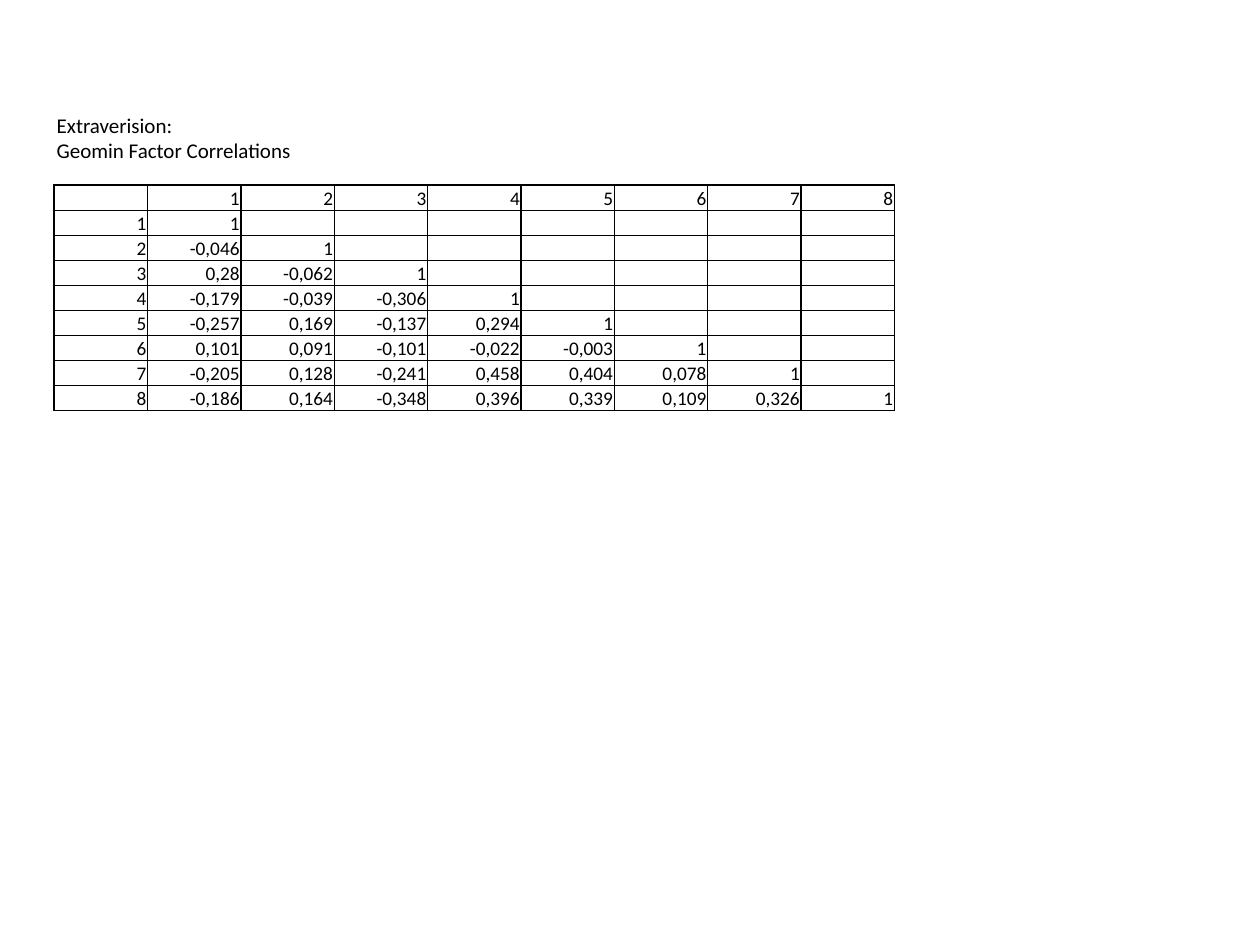
from dataclasses import dataclass

from lxml import etree
from pptx import Presentation
from pptx.dml.color import RGBColor
from pptx.enum.text import MSO_ANCHOR, MSO_AUTO_SIZE, PP_ALIGN
from pptx.oxml.ns import qn
from pptx.util import Inches, Pt

FONT = "Calibri"
BLACK = "000000"


@dataclass(frozen=True)
class FactorRow:
    label: str
    correlations: tuple[str, ...] = ()


FACTORS = (
    FactorRow("1", ("1",)),
    FactorRow("2", ("-0,046", "1")),
    FactorRow("3", ("0,28", "-0,062", "1")),
    FactorRow("4", ("-0,179", "-0,039", "-0,306", "1")),
    FactorRow("5", ("-0,257", "0,169", "-0,137", "0,294", "1")),
    FactorRow("6", ("0,101", "0,091", "-0,101", "-0,022", "-0,003", "1")),
    FactorRow("7", ("-0,205", "0,128", "-0,241", "0,458", "0,404", "0,078", "1")),
    FactorRow("8", ("-0,186", "0,164", "-0,348", "0,396", "0,339", "0,109", "0,326", "1")),
)


def set_font(font, size: float, color: str = BLACK) -> None:
    font.name = FONT
    font.size = Pt(size)
    font.bold = False
    font.color.rgb = RGBColor.from_string(color)


def add_borders(cell, width: float = 1, color: str = BLACK) -> None:
    properties = cell._tc.get_or_add_tcPr()
    for index, side in enumerate(("lnL", "lnR", "lnT", "lnB")):
        line = etree.Element(qn(f"a:{side}"), w=str(Pt(width)))
        fill = etree.SubElement(line, qn("a:solidFill"))
        etree.SubElement(fill, qn("a:srgbClr"), val=color)
        properties.insert(index, line)


def fill_cell(cell, text: str, size: float = 11) -> None:
    cell.margin_left = cell.margin_right = cell.margin_top = Inches(0.01)
    cell.margin_bottom = 0
    cell.vertical_anchor = MSO_ANCHOR.BOTTOM
    cell.fill.background()
    add_borders(cell)
    paragraph = cell.text_frame.paragraphs[0]
    paragraph.alignment = PP_ALIGN.RIGHT
    if text:
        run = paragraph.add_run()
        run.text = text
        set_font(run.font, size)
    else:
        etree.SubElement(paragraph._p, qn("a:endParaRPr"), sz=str(int(size * 100)))


def add_heading(slide, lines: tuple[str, ...]) -> None:
    title = slide.shapes.title
    title.left, title.top = Inches(0.35), Inches(0.84)
    title.width, title.height = Inches(2.36), Inches(0.5)
    frame = title.text_frame
    frame.word_wrap = True
    frame.auto_size = MSO_AUTO_SIZE.NONE
    frame.vertical_anchor = MSO_ANCHOR.TOP
    frame.text = "\n".join(lines)
    for paragraph in frame.paragraphs:
        paragraph.alignment = PP_ALIGN.LEFT
        set_font(paragraph.runs[0].font, 12)


def add_correlation_table(slide, factors: tuple[FactorRow, ...]) -> None:
    header = FactorRow("", tuple(factor.label for factor in factors))
    count = len(factors) + 1
    table = slide.shapes.add_table(
        count, count, Inches(0.43), Inches(1.47), Inches(6.67), Inches(1.73)
    ).table
    table.first_row = table.horz_banding = False
    for row, factor in enumerate((header, *factors)):
        values = (factor.label, *factor.correlations)
        for column in range(count):
            text = values[column] if column < len(values) else ""
            fill_cell(table.cell(row, column), text)


def main() -> None:
    presentation = Presentation()
    presentation.slide_width = Inches(10)
    presentation.slide_height = Inches(7.5)
    slide = presentation.slides.add_slide(presentation.slide_layouts[5])
    add_correlation_table(slide, FACTORS)
    add_heading(slide, ("Extraverision:", "Geomin Factor Correlations"))
    presentation.save("out.pptx")


main()
